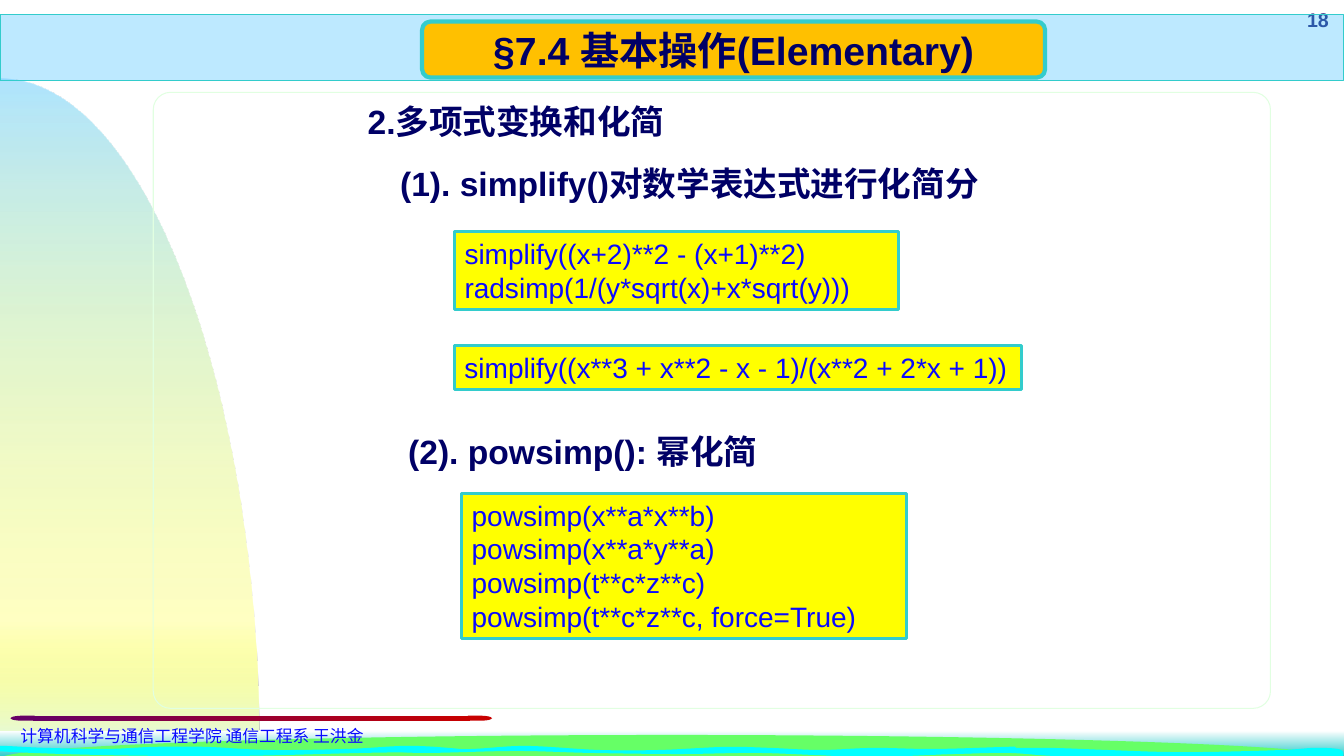
from dataclasses import dataclass

from lxml import etree
from pptx import Presentation
from pptx import util as u
from pptx.dml.color import RGBColor
from pptx.enum import shapes, text
from pptx.oxml import ns


@dataclass(frozen=True)
class Theme:
    latin: str = "Arial"
    cjk: str = "Noto Sans CJK SC"
    navy: str = "000066"
    blue: str = "0A0AFF"
    sky: str = "66CCFF"
    teal: str = "33CCCC"
    yellow: str = "FFFF00"
    amber: str = "FFC000"
    cyan: str = "00FFFF"
    green: str = "66FF66"
    mint: str = "E1FFE1"
    ice: str = "DFF9F9"
    white: str = "FFFFFF"
    purple: str = "660066"
    red: str = "C80000"
    title: int = 28
    heading: int = 24
    code: int = 20
    number: int = 14
    footer: int = 12


T = Theme()
S = shapes.MSO_SHAPE
ROUND = 0.55  # control distance of a quarter ellipse, as a share of its radius
WAVES = [
    [(698, 535), (746, 534.2), (790, 535.7), (830, 537.1), (866, 537.1), (917, 535.7),
     (940, 534.2), (958, 535.7), (957, 542.2), (942, 540.7), (905, 540.7), (869, 540),
     (816, 541.4), (753, 540), (719, 537.8), (675, 538.6)],
    [(725, 533.5), (722, 536.4), (680, 538.6), (622, 540.7), (582, 539.3), (539, 537.8),
     (485, 538.6), (421, 537.8), (369, 536.4), (308, 537.8), (287, 537.1), (298, 535.7),
     (337, 535), (376, 532.8), (428, 535.7), (471, 535.7), (518, 533.5), (550, 534.2),
     (586, 535.7), (624, 534.2), (667, 535), (718, 533.5)],
    [(312, 537.1), (261, 537.8), (166, 540), (71, 539.3), (-3, 536.4), (-3, 532.8),
     (32, 534.2), (76, 535), (110, 533.5), (147, 533.5), (192, 535.7), (248, 535),
     (290, 532.8), (320, 534.2), (336, 536.4)],
]


def style(sp, fill=None, line=None, width=0.75, alpha=100):
    sp.shadow.inherit = False
    if fill:
        sp.fill.solid()
        sp.fill.fore_color.rgb = RGBColor.from_string(fill)
        if alpha < 100:
            clr = sp._element.spPr.find(".//" + ns.qn("a:srgbClr"))
            etree.SubElement(clr, ns.qn("a:alpha"), val=str(alpha * 1000))
    else:
        sp.fill.background()
    if line:
        sp.line.color.rgb = RGBColor.from_string(line)
        sp.line.width = u.Pt(width)
    else:
        sp.line.fill.background()


def gradient(sp, stops, angle):
    """Fill with (position %, colour, opacity %) stops; angle is clockwise."""
    style(sp, T.white)
    old = sp._element.spPr.find(ns.qn("a:solidFill"))
    grad = etree.Element(ns.qn("a:gradFill"), rotWithShape="1")
    gs_list = etree.SubElement(grad, ns.qn("a:gsLst"))
    for pos, color, alpha in stops:
        gs = etree.SubElement(gs_list, ns.qn("a:gs"), pos=str(pos * 1000))
        clr = etree.SubElement(gs, ns.qn("a:srgbClr"), val=color)
        if alpha < 100:
            etree.SubElement(clr, ns.qn("a:alpha"), val=str(alpha * 1000))
    etree.SubElement(grad, ns.qn("a:lin"), ang=str(angle * 60000), scaled="0")
    old.getparent().replace(old, grad)


def add_shape(s, kind, box, corner=None):
    sp = s.shapes.add_shape(kind, *map(u.Pt, box))
    if corner is not None:
        sp.adjustments[0] = corner
    return sp


def add_outline(s, start, curves, corners=()):
    """Draw cubic curves (two controls and an end each), then straight corners."""
    points = [pt for curve in curves for pt in curve] + list(corners)
    fb = s.shapes.build_freeform(*map(u.Pt, start), scale=1.0)
    fb.add_line_segments([(u.Pt(x), u.Pt(y)) for x, y in points], close=True)
    sp = fb.convert_to_shape()
    lines = sp._element.spPr.findall(".//" + ns.qn("a:lnTo"))
    for i in range(0, 3 * len(curves), 3):
        cubic = etree.Element(ns.qn("a:cubicBezTo"))
        lines[i].addprevious(cubic)
        for line in lines[i:i + 3]:
            cubic.append(line[0])
            line.getparent().remove(line)
    return sp


def wave_curves(points):
    """Closed smooth curves through the points."""
    n, curves = len(points), []
    for i in range(n):
        a, b, c, d = (points[(i + k) % n] for k in (-1, 0, 1, 2))
        curves.append([tuple(q + (r - p) / 6 for p, q, r in zip(a, b, c)),
                       tuple(q - (r - p) / 6 for p, q, r in zip(b, c, d)), c])
    return curves


def put_text(sp, content, size, color=T.navy, bold=False, align=text.PP_ALIGN.LEFT,
             anchor=text.MSO_ANCHOR.TOP, grow=True):
    tf = sp.text_frame
    tf.word_wrap = True
    tf.vertical_anchor = anchor
    tf.auto_size = text.MSO_AUTO_SIZE.SHAPE_TO_FIT_TEXT if grow else text.MSO_AUTO_SIZE.NONE
    for i, line in enumerate(content.split("\n")):
        p = tf.add_paragraph() if i else tf.paragraphs[0]
        p.alignment = align
        r = p.add_run()
        r.text = line
        r.font.size, r.font.bold, r.font.name = u.Pt(size), bold, T.latin
        r.font.color.rgb = RGBColor.from_string(color)
        etree.SubElement(r._r.get_or_add_rPr(), ns.qn("a:ea"), typeface=T.cjk)


def add_text(s, box, content, size, **fmt):
    put_text(s.shapes.add_textbox(*map(u.Pt, box)), content, size, **fmt)


def draw_scenery(s, x, y, w, h):
    bottom, top, right = y + h, y + 56, x + 185.3
    dome = [(x + 185.3 * ROUND, top), (right, bottom - 484 * ROUND), (right, bottom)]
    hill = add_outline(s, (x, top), [dome], [(x, bottom)])
    gradient(hill, [(0, T.sky, 52), (80, T.yellow, 23), (100, T.ice, 100)], 90)
    sea = add_shape(s, S.RECTANGLE, (x, bottom - 18, w, 18))
    gradient(sea, [(0, T.white, 100), (100, T.teal, 100)], 90)
    base, crest, mid, end = bottom + 2, bottom - 15, x + w / 2, x + w
    rise = [(x, base - 17 * ROUND), (mid - w / 2 * ROUND, crest), (mid, crest)]
    fall = [(mid + w / 2 * ROUND, crest), (end, base - 17 * ROUND), (end, base)]
    style(add_outline(s, (x, base), [rise, fall]), T.green)
    for wave in WAVES:
        points = [(x + px, y + py) for px, py in wave]
        style(add_outline(s, points[0], wave_curves(points)), T.cyan)


def draw_footer(s, x, y, w, h):
    cap, thick = 17.3, 3.6
    bar = add_shape(s, S.ROUNDED_RECTANGLE, (x + cap - 1.5, y, w - 2 * cap + 3, thick), 0)
    gradient(bar, [(0, T.purple, 100), (100, T.red, 100)], 0)
    left = add_shape(s, S.FLOWCHART_DELAY, (x, y, cap, thick))
    left._element.spPr.find(ns.qn("a:xfrm")).set("flipH", "1")
    style(left, T.purple)
    style(add_shape(s, S.FLOWCHART_DELAY, (x + w - cap, y, cap, thick)), T.red)
    add_text(s, (x, y + thick, w + 7, h - thick), "计算机科学与通信工程学院 通信工程系 王洪金",
             T.footer, color=T.blue)


def draw_header(s, x, y, w, h):
    add_text(s, (x + w - 63.7, y - 8.5, 60, 24), "18", T.number, bold=True,
             align=text.PP_ALIGN.RIGHT)
    style(add_shape(s, S.RECTANGLE, (x, y, w, h)), T.sky, T.teal, alpha=43)
    title = add_shape(s, S.ROUNDED_RECTANGLE, (x + 301.5, y + 4.9, 445, 40), 0.15)
    style(title, T.amber, T.teal, 3)
    put_text(title, "§7.4 基本操作(Elementary)", T.title, bold=True, grow=False,
             align=text.PP_ALIGN.CENTER, anchor=text.MSO_ANCHOR.MIDDLE)


def draw_content(s, x, y, w, h):
    style(add_shape(s, S.ROUNDED_RECTANGLE, (x, y, w, h), 0.028), line=T.mint)
    headings = [
        (146, 2.5, 250, "2.多项式变换和化简"),
        (169.2, 46.5, 459, "(1). simplify()对数学表达式进行化简分"),
        (175, 238, 297, "(2). powsimp(): 幂化简"),
    ]
    for dx, dy, width, content in headings:
        add_text(s, (x + dx, y + dy, width, 36), content, T.heading, bold=True)
    listings = [
        (215.2, 99.4, 317, "simplify((x+2)**2 - (x+1)**2)\nradsimp(1/(y*sqrt(x)+x*sqrt(y)))"),
        (215.2, 180.5, 405, "simplify((x**3 + x**2 - x - 1)/(x**2 + 2*x + 1))"),
        (220.3, 286.4, 317.5, "powsimp(x**a*x**b)\npowsimp(x**a*y**a)\n"
                              "powsimp(t**c*z**c)\npowsimp(t**c*z**c, force=True)"),
    ]
    for dx, dy, width, code in listings:
        height = 7.5 + 24 * (code.count("\n") + 1)
        sp = add_shape(s, S.RECTANGLE, (x + dx, y + dy, width, height))
        style(sp, T.yellow, T.teal, 2.25)
        put_text(sp, code, T.code, color=T.blue)


def main():
    prs = Presentation()
    prs.slide_width, prs.slide_height = u.Pt(960), u.Pt(540)
    s = prs.slides.add_slide(prs.slide_layouts[6])
    draw_scenery(s, 0, 0, 960, 540)
    draw_header(s, 0, 10.5, 960, 47)
    draw_content(s, 109.5, 66, 798, 440)
    draw_footer(s, 7.5, 511.2, 344, 25)
    prs.save("out.pptx")


if __name__ == "__main__":
    main()
